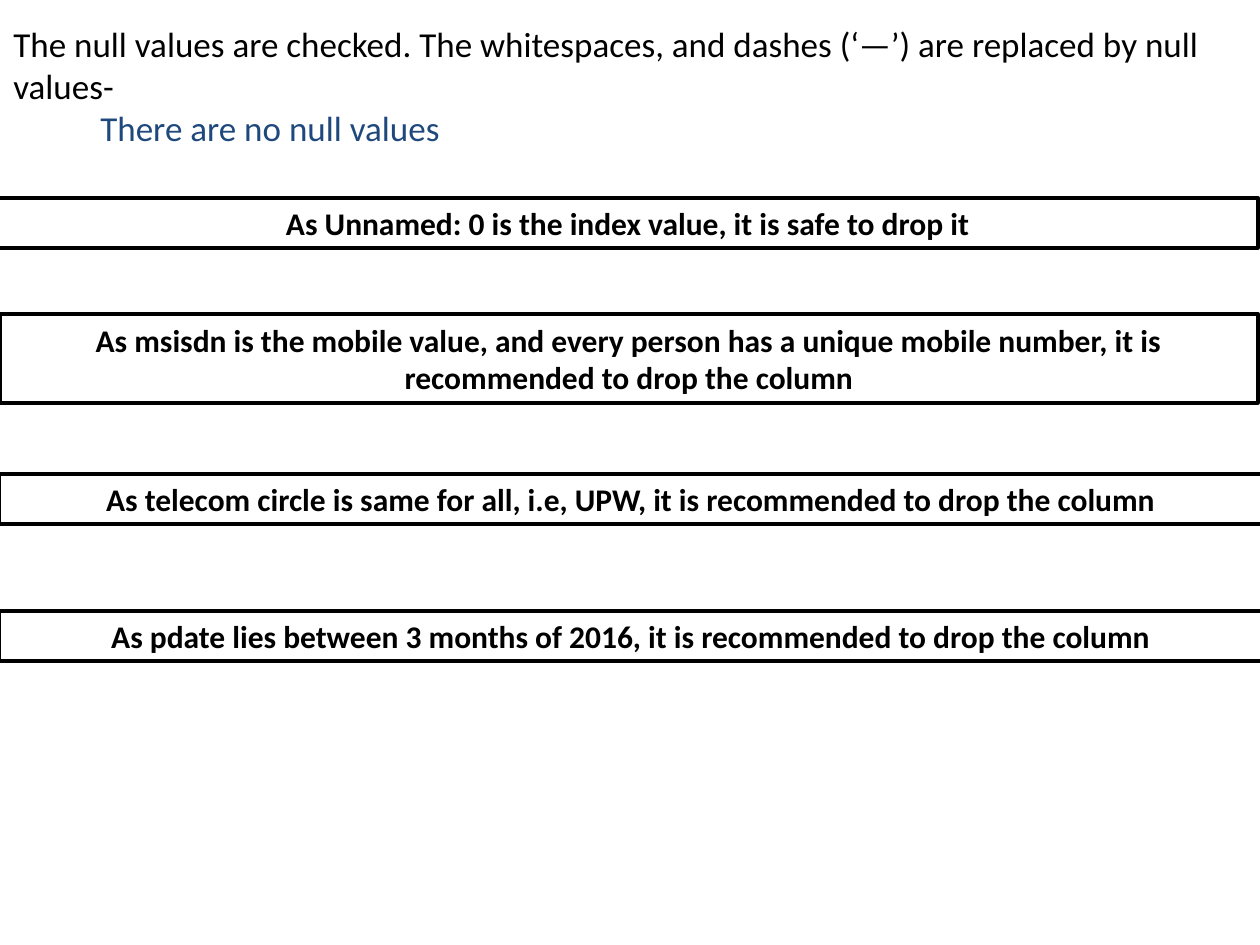
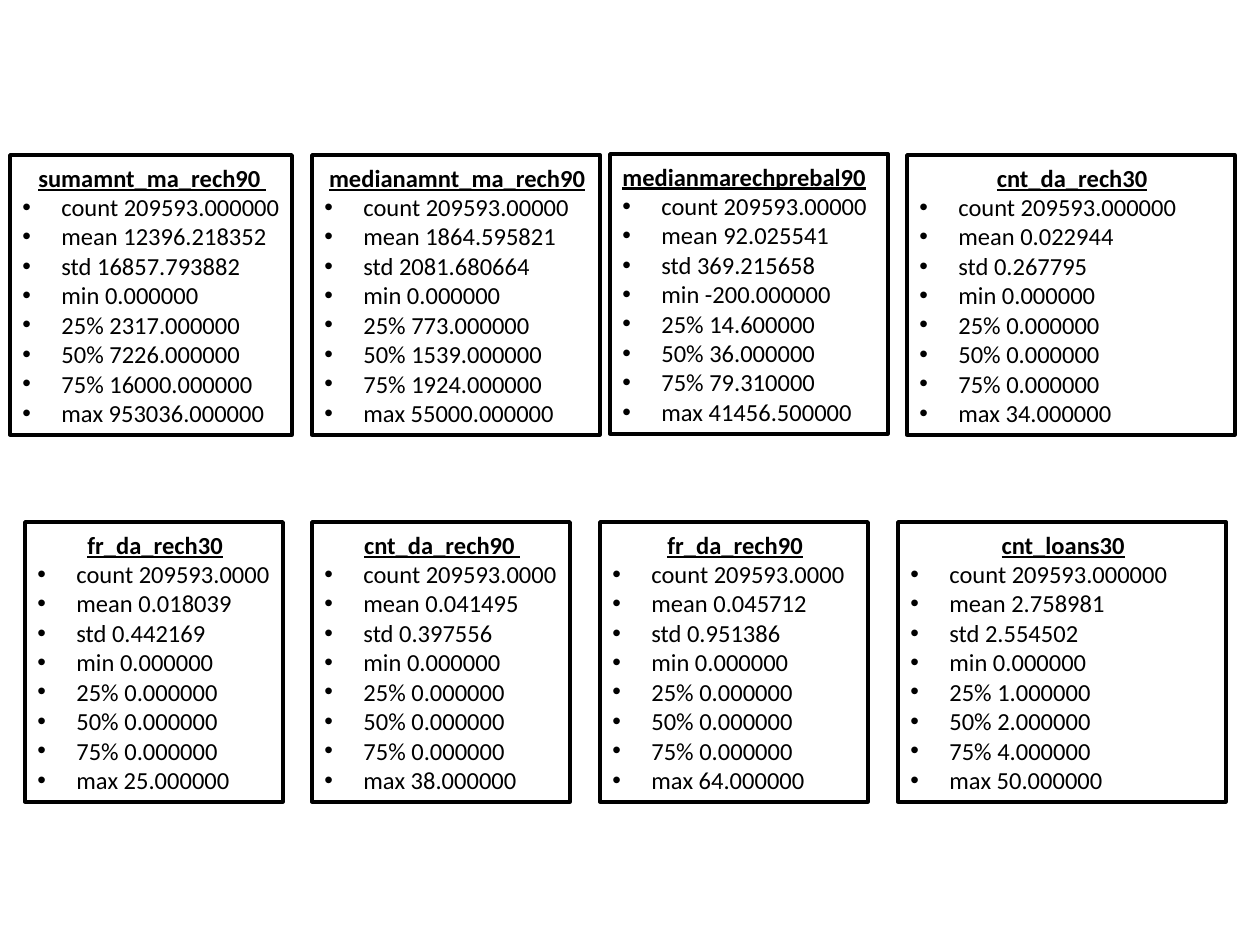
from dataclasses import dataclass

from lxml import etree
from pptx import Presentation, util as u
from pptx.dml.color import RGBColor
from pptx.enum import shapes, text
from pptx.oxml import ns


@dataclass(frozen=True)
class Theme:
    font: str = "Calibri"
    bullet_font: str = "Arial"
    ink: RGBColor = RGBColor(0x00, 0x00, 0x00)
    paper: RGBColor = RGBColor(0xFF, 0xFF, 0xFF)
    accent: RGBColor = RGBColor(0x1F, 0x49, 0x7D)
    intro_size: int = 20
    note_size: int = 18
    stat_size: int = 14
    border: int = 2


THEME = Theme()
PX_PER_INCH = 126
BLANK_LAYOUT = 6
BULLET_INDENT = 39
FINDING_INDENT = 87

# Slide 1: remarks as left, top, width, height, wording
NOTES = [
    (-2, 198, 1260, 50, "As Unnamed: 0 is the index value, it is safe to drop it"),
    (0, 314, 1258, 89, "As msisdn is the mobile value, and every person has a unique "
                       "mobile number, it is recommended to drop the column"),
    (-1, 474, 1264, 50, "As telecom circle is same for all, i.e, UPW, "
                        "it is recommended to drop the column"),
    (-1, 611, 1264, 50, "As pdate lies between 3 months of 2016, "
                        "it is recommended to drop the column"),
]

# Slide 2: cards as left, top, width, column name, values in the order of STATS
STATS = ("count", "mean", "std", "min", "25%", "50%", "75%", "max")
UPPER, LOWER, CARD_HEIGHT = 155, 522, 280
LEFT_TITLED = "medianmarechprebal90"
CARDS = [
    (10, UPPER, 282, "sumamnt_ma_rech90 ",
     "209593.000000 12396.218352 16857.793882 0.000000 "
     "2317.000000 7226.000000 16000.000000 953036.000000"),
    (312, UPPER, 288, "medianamnt_ma_rech90",
     "209593.00000 1864.595821 2081.680664 0.000000 "
     "773.000000 1539.000000 1924.000000 55000.000000"),
    (610, UPPER - 1, 278, LEFT_TITLED,
     "209593.00000 92.025541 369.215658 -200.000000 "
     "14.600000 36.000000 79.310000 41456.500000"),
    (907, UPPER, 328, "cnt_da_rech30",
     "209593.000000 0.022944 0.267795 0.000000 "
     "0.000000 0.000000 0.000000 34.000000"),
    (25, LOWER, 258, "fr_da_rech30",
     "209593.0000 0.018039 0.442169 0.000000 "
     "0.000000 0.000000 0.000000 25.000000"),
    (312, LOWER, 258, "cnt_da_rech90 ",
     "209593.0000 0.041495 0.397556 0.000000 "
     "0.000000 0.000000 0.000000 38.000000"),
    (600, LOWER, 268, "fr_da_rech90",
     "209593.0000 0.045712 0.951386 0.000000 "
     "0.000000 0.000000 0.000000 64.000000"),
    (898, LOWER, 328, "cnt_loans30",
     "209593.000000 2.758981 2.554502 0.000000 "
     "1.000000 2.000000 4.000000 50.000000"),
]


def px(length):
    return u.Emu(round(length * 914400 / PX_PER_INCH))


def add_page(deck):
    return deck.slides.add_slide(deck.slide_layouts[BLANK_LAYOUT])


# Text
def prepare_frame(box):
    frame = box.text_frame
    frame.word_wrap = True
    frame.auto_size = text.MSO_AUTO_SIZE.SHAPE_TO_FIT_TEXT
    return frame


def write(para, wording, size, color=THEME.ink, bold=False, underline=False,
          align=text.PP_ALIGN.LEFT):
    para.text = wording
    para.alignment = align
    font = para.font
    font.name, font.size, font.bold = THEME.font, u.Pt(size), bold
    font.underline = underline
    font.color.rgb = color


def indent(para, margin, first=0):
    properties = para._p.get_or_add_pPr()
    properties.set("marL", str(px(margin)))
    properties.set("indent", str(px(first)))
    return properties


def add_bullet(para):
    properties = indent(para, BULLET_INDENT, -BULLET_INDENT)
    # Bullet marks come before the default run properties
    bullet_font = etree.Element(ns.qn("a:buFont"), typeface=THEME.bullet_font)
    bullet = etree.Element(ns.qn("a:buChar"), char="•")
    properties.insert(0, bullet_font)
    properties.insert(1, bullet)


# Elements
def add_framed_box(page, left, top, width, height):
    box = page.shapes.add_shape(shapes.MSO_SHAPE.RECTANGLE,
                                px(left), px(top), px(width), px(height))
    box.shadow.inherit = False
    box.fill.solid()
    box.fill.fore_color.rgb = THEME.paper
    box.line.color.rgb = THEME.ink
    box.line.width = u.Pt(THEME.border)
    return prepare_frame(box)


def add_intro(page, statement, finding):
    box = page.shapes.add_textbox(px(1), px(16), px(1260), px(140))
    frame = prepare_frame(box)
    write(frame.paragraphs[0], statement, THEME.intro_size)
    para = frame.add_paragraph()
    write(para, finding, THEME.intro_size, THEME.accent)
    indent(para, FINDING_INDENT)


def add_note(page, left, top, width, height, wording):
    frame = add_framed_box(page, left, top, width, height)
    write(frame.paragraphs[0], wording, THEME.note_size, bold=True,
          align=text.PP_ALIGN.CENTER)


def add_stat_card(page, left, top, width, name, values):
    frame = add_framed_box(page, left, top, width, CARD_HEIGHT)
    frame.margin_right = px(10)
    align = text.PP_ALIGN.LEFT if name == LEFT_TITLED else text.PP_ALIGN.CENTER
    write(frame.paragraphs[0], name, THEME.stat_size, bold=True,
          underline=True, align=align)
    for stat, value in zip(STATS, values.split()):
        para = frame.add_paragraph()
        write(para, f"{stat} {value}", THEME.stat_size)
        add_bullet(para)


def main():
    deck = Presentation()
    deck.slide_width, deck.slide_height = u.Inches(10), u.Inches(7.5)

    # Columns to drop
    page = add_page(deck)
    add_intro(page, "The null values are checked. The whitespaces, and dashes "
                    "(‘—’) are replaced by null values-",
              "There are no null values")
    for note in NOTES:
        add_note(page, *note)

    # Summary statistics
    page = add_page(deck)
    for card in CARDS:
        add_stat_card(page, *card)

    deck.save("out.pptx")


if __name__ == "__main__":
    main()
